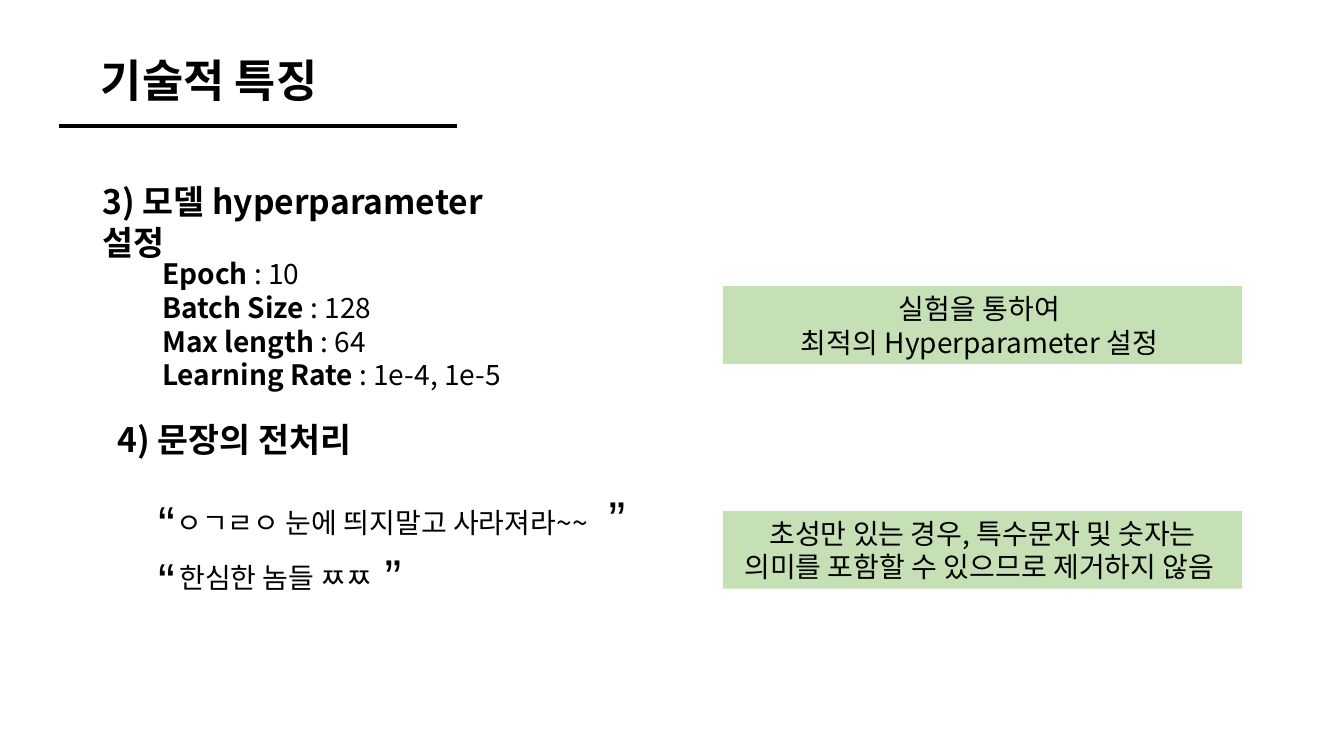
from lxml.etree import SubElement
from pptx import Presentation
from pptx.dml.color import RGBColor
from pptx.enum.shapes import MSO_CONNECTOR, MSO_SHAPE
from pptx.enum.text import MSO_ANCHOR, MSO_AUTO_SIZE, PP_ALIGN
from pptx.oxml.ns import qn
from pptx.util import Inches, Pt

BLACK = RGBColor(0x00, 0x00, 0x00)
GREEN = RGBColor(0xC5, 0xE0, 0xB4)
KOREAN = "Noto Sans CJK KR"


def style(p, size, bold=None, font=KOREAN):
    p.font.size = Pt(size)
    p.font.bold = bold
    p.font.name = font
    p.font.color.rgb = BLACK
    SubElement(p._p.pPr.find(qn("a:defRPr")), qn("a:ea"), typeface=font)


def add_text(s, box, text, size, bold=None, font=KOREAN, wrap=False):
    sp = s.shapes.add_textbox(*map(Inches, box))
    tf = sp.text_frame
    tf.word_wrap = wrap
    tf.auto_size = MSO_AUTO_SIZE.SHAPE_TO_FIT_TEXT
    tf.text = text
    for p in tf.paragraphs:
        style(p, size, bold, font)
    return sp


def add_title(s, text):
    sp = add_text(s, (0.34, 0.28, 3.47, 1.08), text, 32, True, wrap=True)
    tf = sp.text_frame
    tf.auto_size = MSO_AUTO_SIZE.NONE
    tf.vertical_anchor = MSO_ANCHOR.MIDDLE
    p = tf.paragraphs[0]
    p.alignment = PP_ALIGN.CENTER
    p.line_spacing = 0.9

    # Rule under the title
    rule = s.shapes.add_connector(MSO_CONNECTOR.STRAIGHT, Inches(0.59),
                                  Inches(1.25), Inches(4.53), Inches(1.25))
    rule.line.color.rgb = BLACK
    rule.line.width = Pt(3.25)
    SubElement(rule._element.spPr, qn("a:effectLst"))


def add_settings(s, box, settings):
    tf = add_text(s, box, "", 20).text_frame
    for i, (name, value) in enumerate(settings):
        p = tf.add_paragraph() if i else tf.paragraphs[0]
        for text, bold in ((f"{name} ", True), (f": {value}", False)):
            r = p.add_run()
            r.text = text
            r.font.bold = bold
        if i:
            style(p, 20)


def add_quote_mark(s, left, top, rotation=0):
    sp = add_text(s, (left, top, 0.37, 0.71), "“", 36, font="Arial")
    sp.rotation = rotation


def add_note(s, top, text):
    sp = s.shapes.add_shape(MSO_SHAPE.RECTANGLE, Inches(7.17), Inches(top),
                            Inches(5.15), Inches(0.77))
    sp.shadow.inherit = False
    sp.fill.solid()
    sp.fill.fore_color.rgb = GREEN
    sp.line.fill.background()
    tf = sp.text_frame
    tf.word_wrap = True
    tf.auto_size = MSO_AUTO_SIZE.SHAPE_TO_FIT_TEXT
    tf.text = text
    for p in tf.paragraphs:
        p.alignment = PP_ALIGN.CENTER
        style(p, 20)


def main():
    prs = Presentation()
    prs.slide_width, prs.slide_height = Inches(13.33), Inches(7.5)
    s = prs.slides.add_slide(prs.slide_layouts[6])

    add_title(s, "기술적 특징")

    # Hyperparameters
    add_text(s, (0.92, 1.75, 4.65, 0.5), "3) 모델 hyperparameter 설정", 24,
             True, wrap=True)
    add_settings(s, (1.51, 2.5, 3.58, 1.45), [
        ("Epoch", "10"),
        ("Batch Size", "128"),
        ("Max length", "64"),
        ("Learning Rate", "1e-4, 1e-5"),
    ])
    add_note(s, 2.84, "실험을 통하여 \n최적의 Hyperparameter 설정 ")

    # Sentence preprocessing, with example sentences in quote marks
    add_text(s, (1.07, 4.11, 2.61, 0.5), "4) 문장의 전처리", 24, True)
    examples = [
        ((1.65, 4.97, 4.49, 0.44), "ㅇㄱㄹㅇ 눈에 띄지말고 사라져라~~", 4.83, 5.93),
        ((1.68, 5.51, 2.2, 0.44), "한심한 놈들 ㅉㅉ", 5.4, 3.71),
    ]
    for box, sentence, mark_top, close_left in examples:
        add_text(s, box, sentence, 20)
        add_quote_mark(s, 1.47, mark_top)
        add_quote_mark(s, close_left, mark_top - 0.23, 180)
    add_note(s, 5.07, "초성만 있는 경우, 특수문자 및 숫자는 "
                      "의미를 포함할 수 있으므로 제거하지 않음 ")

    prs.save("out.pptx")


if __name__ == "__main__":
    main()
